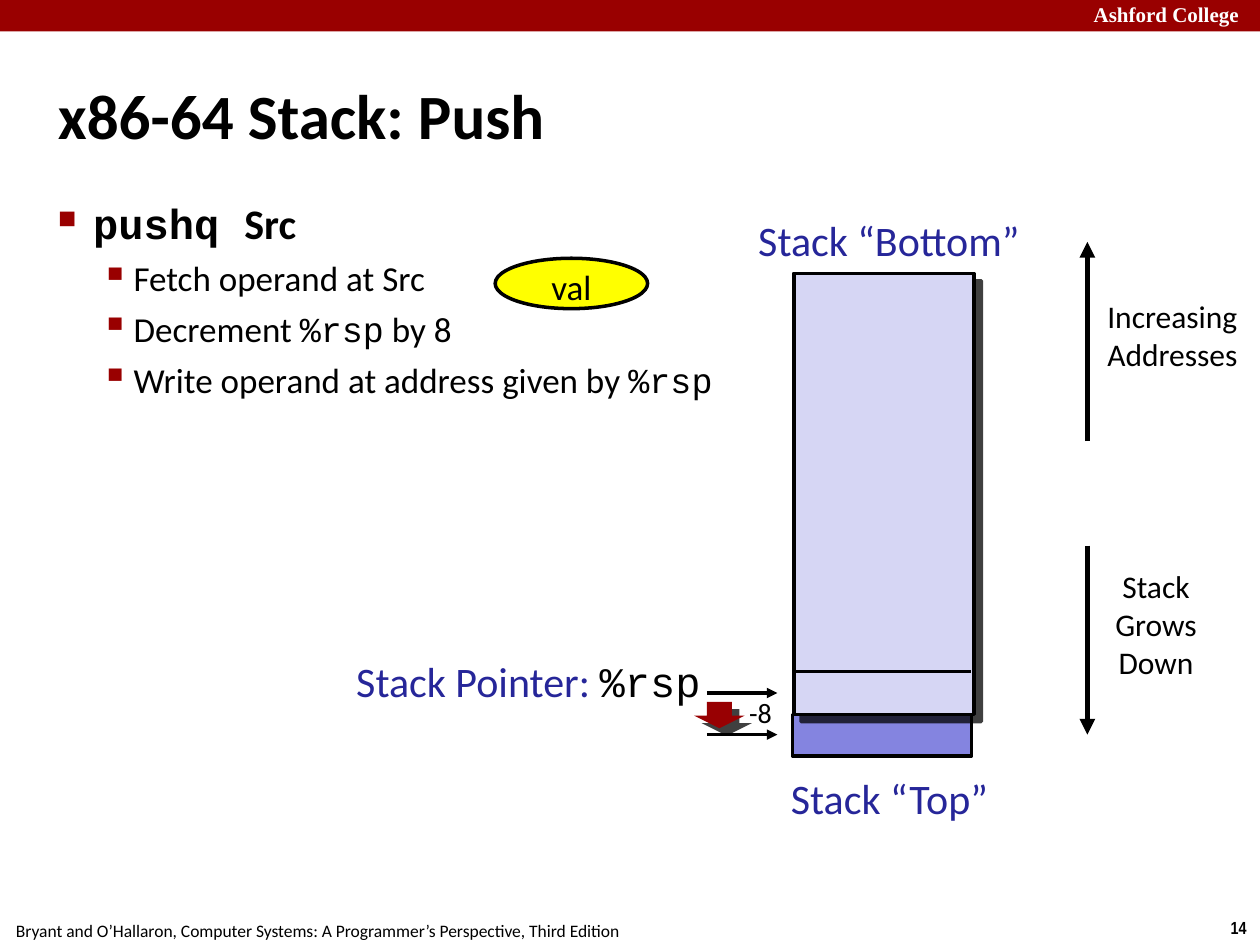
from lxml import etree
from pptx import Presentation
from pptx.dml.color import RGBColor
from pptx.enum.shapes import MSO_CONNECTOR, MSO_SHAPE
from pptx.enum.text import MSO_ANCHOR, PP_ALIGN
from pptx.oxml import parse_xml
from pptx.oxml.ns import nsdecls, qn
from pptx.util import Inches, Pt

BLACK, WHITE, RED, BLUE = "000000", "FFFFFF", "990000", "262699"
SANS, MONO = "Calibri", "Courier New"
LEFT, CENTER, RIGHT = PP_ALIGN.LEFT, PP_ALIGN.CENTER, PP_ALIGN.RIGHT


def paint(shape, fill, line_width=0):
    """Fill a shape, outline it in black if a width is given, and drop its shadow."""
    shape.shadow.inherit = False
    shape.fill.solid()
    shape.fill.fore_color.rgb = RGBColor.from_string(fill)
    if line_width:
        shape.line.color.rgb = RGBColor.from_string(BLACK)
        shape.line.width = Pt(line_width)
    else:
        shape.line.fill.background()


def write(shape, paragraphs, size, align=LEFT, margins=(0, 0), wrap=True, anchor=MSO_ANCHOR.TOP):
    """Write paragraphs, each a list of (text, font name, colour, bold) runs."""
    frame = shape.text_frame
    frame.word_wrap = wrap
    frame.vertical_anchor = anchor
    frame.margin_left = frame.margin_right = Inches(margins[0])
    frame.margin_top = frame.margin_bottom = Inches(margins[1])
    for index, runs in enumerate(paragraphs):
        paragraph = frame.paragraphs[0] if index == 0 else frame.add_paragraph()
        paragraph.alignment = align
        for text, font_name, color, bold in runs:
            run = paragraph.add_run()
            run.text = text
            font_values = {"name": font_name, "size": Pt(size), "bold": bold}
            for attribute, value in font_values.items():
                setattr(run.font, attribute, value)
            run.font.color.rgb = RGBColor.from_string(color)


presentation = Presentation()
presentation.slide_width, presentation.slide_height = Inches(10), Inches(7.5)
slide = presentation.slides.add_slide(presentation.slide_layouts[6])
shapes = slide.shapes

# Header bar
header = shapes.add_shape(MSO_SHAPE.RECTANGLE, 0, 0, Inches(10), Inches(0.25))
paint(header, RED)

# Stack: the pushed cell lies behind the rest of the stack
pushed_cell = shapes.add_shape(
    MSO_SHAPE.RECTANGLE, Inches(6.29), Inches(5.67), Inches(1.42), Inches(0.33))
paint(pushed_cell, "8484E0", 2)
stack = shapes.add_shape(
    MSO_SHAPE.RECTANGLE, Inches(6.3), Inches(2.17), Inches(1.43), Inches(3.5))
paint(stack, "D6D6F4", 2)

# Block arrow for the move of the stack pointer
builder = shapes.build_freeform(Inches(5.51), Inches(5.68), scale=1.0)
arrow_points = [(5.61, 5.68), (5.61, 5.57), (5.81, 5.57), (5.81, 5.68), (5.91, 5.68), (5.71, 5.78)]
builder.add_line_segments([(Inches(x), Inches(y)) for x, y in arrow_points], close=True)
move_arrow = builder.convert_to_shape()
paint(move_arrow, "980002")

for shape in (stack, move_arrow):
    effects = shape._element.spPr.find(qn("a:effectLst"))
    effects.append(parse_xml(
        f'<a:outerShdw {nsdecls("a")} dist="{Pt(6)}" dir="2700000" algn="ctr" rotWithShape="0">'
        '<a:srgbClr val="000000"><a:alpha val="75000"/></a:srgbClr></a:outerShdw>'))

# Lines: start, end, width, arrowhead
lines = [
    ((5.61, 5.5), (6.17, 5.5), 2, True),
    ((5.61, 5.83), (6.17, 5.83), 2, True),
    ((6.29, 5.33), (7.71, 5.33), 2, False),
    ((8.63, 4.33), (8.63, 5.83), 3, True),
    ((8.63, 3.5), (8.63, 1.92), 3, True),
]
for start, end, width, has_head in lines:
    connector = shapes.add_connector(
        MSO_CONNECTOR.STRAIGHT, *[Inches(value) for value in start + end])
    connector.line.color.rgb = RGBColor.from_string(BLACK)
    connector.line.width = Pt(width)
    if has_head:
        etree.SubElement(connector.line._get_or_add_ln(), qn("a:tailEnd"), type="triangle")
    etree.SubElement(connector._element.spPr, qn("a:effectLst"))

# Operand value
operand = shapes.add_shape(
    MSO_SHAPE.OVAL, Inches(3.93), Inches(2.05), Inches(1.21), Inches(0.4))
paint(operand, "FFFF00", 2)
write(operand, [[("val", SANS, BLACK, False)]], 20, CENTER, (0.1, 0))

# Labels: box, paragraphs, size, alignment, margins, wrap
labels = [
    ((9.66, 7.23, 0.34, 0.27), [[("14", "Arial Narrow", BLACK, True)]],
     10, CENTER, (0.1, 0.05), False),
    ((-0.02, 7.25, 5.08, 0.27),
     [[("Bryant and O’Hallaron, Computer Systems: A Programmer’s Perspective, Third Edition",
        SANS, BLACK, False)]], 10, CENTER, (0.1, 0.05), False),
    ((8.64, -0.03, 1.44, 0.28), [[("Ashford College", "Times New Roman", WHITE, True)]],
     12, LEFT, (0.04, 0.04), True),
    ((5.9, 5.48, 0.27, 0.35), [[("-8", SANS, BLACK, False)]], 16, CENTER, (0.04, 0.04), False),
    ((8.73, 4.5, 0.89, 1), [[("Stack Grows", SANS, BLACK, False)], [("Down", SANS, BLACK, False)]],
     18, CENTER, (0, 0), True),
    ((8.74, 2.36, 1.13, 0.69),
     [[("Increasing", SANS, BLACK, False)], [("Addresses", SANS, BLACK, False)]],
     18, CENTER, (0, 0), False),
    ((5.94, 1.7, 2.23, 0.49), [[("Stack “Bottom”", SANS, BLUE, False)]],
     24, CENTER, (0, 0), False),
    ((2.78, 5.2, 2.78, 0.4),
     [[("Stack Pointer: ", SANS, BLUE, False), ("%rsp", MONO, BLACK, False)]],
     24, RIGHT, (0, 0), False),
    ((6.21, 6.13, 1.7, 0.49), [[("Stack “Top”", SANS, BLUE, False)]], 24, CENTER, (0, 0), False),
]
for box, paragraphs, size, align, margins, wrap in labels:
    label = shapes.add_textbox(*[Inches(value) for value in box])
    write(label, paragraphs, size, align, margins, wrap)

# Title
title = shapes.add_textbox(Inches(0.42), Inches(0.28), Inches(9.17), Inches(1.25))
write(title, [[("x86-64 Stack: Push", SANS, BLACK, True)]], 36,
      margins=(0.04, 0.04), anchor=MSO_ANCHOR.MIDDLE)

# Instruction and its steps
body = shapes.add_textbox(Inches(0.42), Inches(1.53), Inches(9.17), Inches(5.94))
write(body, [
    [("pushq ", MONO, BLACK, True), ("Src", SANS, BLACK, True)],
    [("Fetch operand at Src", SANS, BLACK, False)],
    [("Decrement ", SANS, BLACK, False), ("%rsp", MONO, BLACK, False),
     (" by 8", SANS, BLACK, False)],
    [("Write operand at address given by ", SANS, BLACK, False), ("%rsp", MONO, BLACK, False)],
], 20, margins=(0.04, 0.04))
for run in body.text_frame.paragraphs[0].runs:
    run.font.size = Pt(24)
for index, paragraph in enumerate(body.text_frame.paragraphs):
    level, indent, left, space, bullet, percent = (
        (1, 0.26, 0.6, 5, "▪", 110) if index else (0, 0.28, 0.28, 6, "■", 60))
    paragraph.level = level
    paragraph.space_before = Pt(space)
    properties = paragraph._p.get_or_add_pPr()
    properties.set("marL", str(Inches(left)))
    properties.set("indent", str(-Inches(indent)))
    bullet_color = etree.SubElement(properties, qn("a:buClr"))
    etree.SubElement(bullet_color, qn("a:srgbClr"), val=RED)
    etree.SubElement(properties, qn("a:buSzPct"), val=str(percent * 1000))
    etree.SubElement(properties, qn("a:buChar"), char=bullet)

presentation.save("out.pptx")
